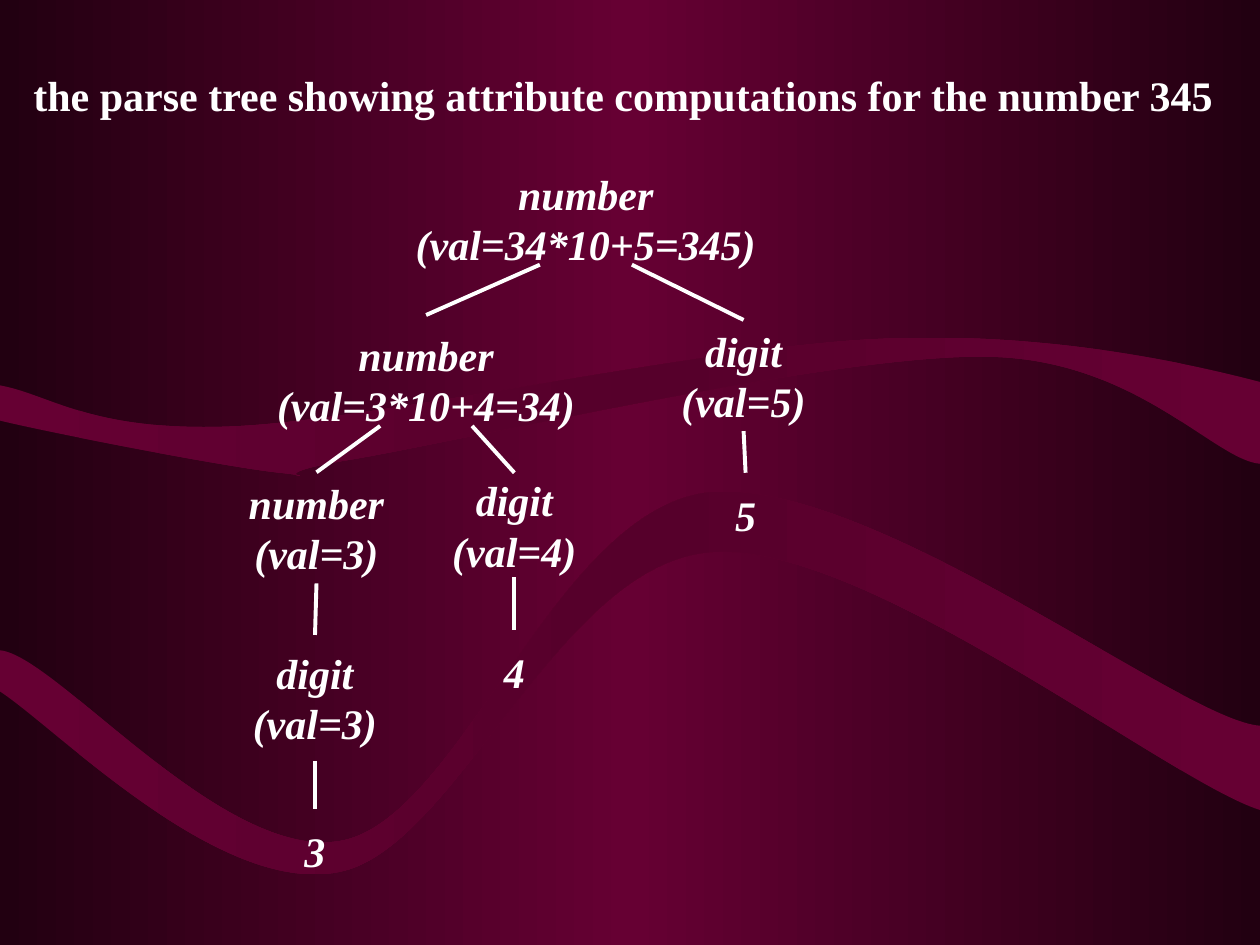
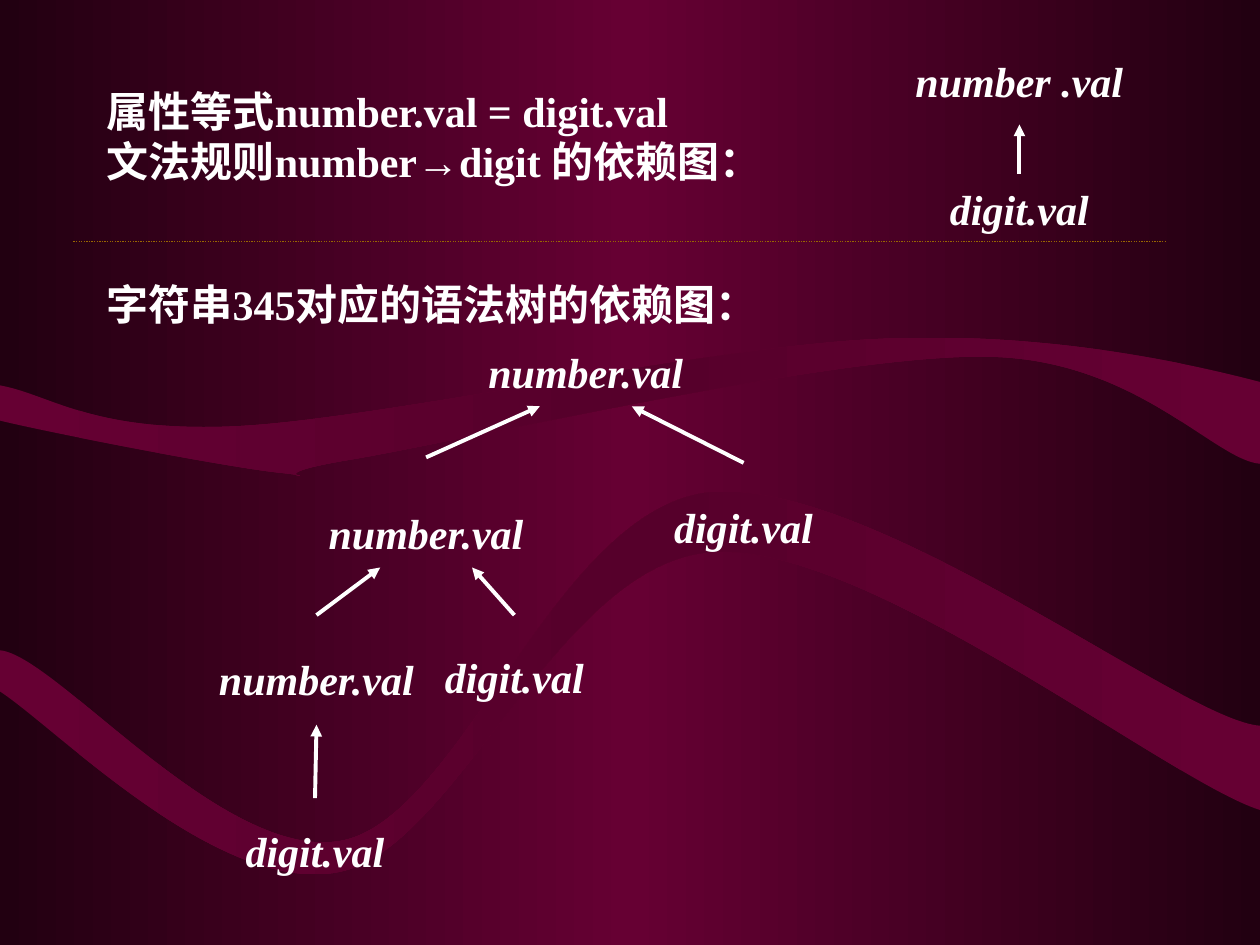
"""Build two slides on attribute computation for the number 345."""
from copy import deepcopy
from math import sqrt

from lxml.etree import SubElement
from pptx import Presentation
from pptx.dml.color import RGBColor
from pptx.enum.dml import MSO_LINE
from pptx.enum.shapes import MSO_CONNECTOR, MSO_SHAPE
from pptx.enum.text import MSO_ANCHOR, MSO_AUTO_SIZE, PP_ALIGN
from pptx.oxml.ns import qn
from pptx.util import Cm, Pt

WHITE, GOLD = "FFFFFF", "996600"
BACKGROUND_STOPS = ("220011", "660033", "220011")
WAVE_STOPS = ("660033", "56002B", "660033")
FONT, ARROW_FONT = "Times New Roman", "Arial"
SIDES = {"left": -1, "below": 0, "right": 1}

WAVES = [
    {"lower": [(0, 8.48), (0.94, 8.71), (4.45, 9.4), (5.64, 9.53),
               (6.83, 9.65), (4.83, 9.63), (7.16, 9.25),
               (9.53, 8.84), (16.76, 7.16), (19.81, 7.19),
               (22.86, 7.19), (24.46, 9.27), (25.4, 9.35)],
     "upper": [(25.4, 7.7), (24.13, 7.37), (21.23, 6.68), (17.81, 6.83),
               (14.38, 6.96), (7.8, 8.43), (4.83, 8.59),
               (1.85, 8.74), (1.02, 7.95), (0, 7.77)]},
    {"lower": [(0, 13.94), (1.14, 14.68), (4.42, 18.06), (6.83, 17.58),
               (9.22, 17.12), (11.25, 11.33), (14.35, 11.13),
               (17.45, 10.9), (23.55, 15.75), (25.4, 16.33)],
     "upper": [(25.4, 14.63), (23.83, 14.53), (17.55, 9.58), (14.27, 9.93),
               (11.2, 10.31), (9.32, 16.41), (6.93, 16.94),
               (4.55, 17.45), (1.14, 13.21), (0, 13.11)]},
]

PARSE_TREE = [
    (["number", "(val=34*10+5=345)"], (11.81, 3.1, 2.62, 2.62), None, None, 0),
    (["number", "(val=3*10+4=34)"], (8.59, 6.35, 2.62, 2.62), 0, "left", 0),
    (["digit", "(val=5)"], (14.99, 6.45, 2.62, 2.24), 0, "right", 0),
    (["number", "(val=3)"], (6.38, 9.52, 2.62, 2.24), 1, "left", 0),
    (["digit", "(val=4)"], (10.37, 9.53, 2.54, 2.11), 1, "right", 0),
    (["5"], (15.03, 9.53, 2.54, 1.7), 2, "below", 0),
    (["digit", "(val=3)"], (6.35, 12.8, 2.54, 2.54), 3, "below", 0),
    (["4"], (10.37, 12.7, 2.54, 1.7), 4, "below", 0),
    (["3"], (6.35, 16.3, 2.54, 1.7), 6, "below", 0),
]
RULE_GRAPH = [
    (["number .val"], (20.55, 0.74, 5.89, 1.77), None, None, 0),
    (["digit.val"], (20.55, 3.5, 5.89, 1.42), 0, "below", 0),
]
STRING_GRAPH = [
    (["number.val"], (11.81, 6.4, 2.62, 2.18), None, None, 0),
    (["number.val"], (8.59, 9.65, 2.62, 2.18), 0, "left", 0.43),
    (["digit.val"], (14.99, 9.69, 2.62, 1.85), 0, "right", 0.36),
    (["number.val"], (6.38, 12.76, 2.62, 1.85), 1, "left", 0.36),
    (["digit.val"], (10.37, 12.76, 2.54, 1.75), 1, "right", 0.36),
    (["digit.val"], (6.35, 16.09, 2.54, 2.11), 3, "below", 0),
]
SLIDES = [
    {"title": ["the parse tree showing attribute computations for the number 345"],
     "title_box": (0.42, 1.27, 24.77, 1.27), "anchor": MSO_ANCHOR.TOP,
     "trees": [PARSE_TREE], "arrows": False},
    {"title": ["属性等式number.val = digit.val",
               ("文法规则number", "→", "digit 的依赖图：")],
     "title_box": (1.9, 1.67, 14.81, 2.13), "anchor": MSO_ANCHOR.MIDDLE,
     "trees": [RULE_GRAPH, STRING_GRAPH], "arrows": True,
     "heading": ["字符串345对应的语法树的依赖图："],
     "heading_box": (1.9, 5.05, 15.04, 2.13),
     "divider": ((1.48, 4.87), (23.5, 4.87))},
]


def color(value):
    """Turn a hex string into a colour."""
    return RGBColor.from_string(value)


def lengths(values):
    """Turn centimetres into lengths."""
    return [Cm(value) for value in values]


def write_text(shape, lines, align=PP_ALIGN.LEFT, anchor=MSO_ANCHOR.MIDDLE,
               italic=False, wrap=True):
    """Write lines, each a string or a tuple of runs, into a shape."""
    frame = shape.text_frame
    frame.word_wrap, frame.auto_size = wrap, MSO_AUTO_SIZE.NONE
    frame.vertical_anchor = anchor
    for index, line in enumerate(lines):
        paragraph = frame.add_paragraph() if index else frame.paragraphs[0]
        paragraph.alignment = align
        for text in (line,) if isinstance(line, str) else line:
            run = paragraph.add_run()
            run.text = text
            run.font.name = ARROW_FONT if text == "→" else FONT
            run.font.size, run.font.bold, run.font.italic = Pt(24), True, italic
            run.font.color.rgb = color(WHITE)


def fill_gradient(fill, element, stops):
    """Give a fill three evenly spaced colours from left to right."""
    fill.gradient()
    fill.gradient_angle = 0
    stop_list = element.xpath(".//a:gsLst")[0]
    stop_list.append(deepcopy(stop_list[0]))
    for index, (stop, value) in enumerate(zip(fill.gradient_stops, stops)):
        stop.position = index / 2
        stop.color.rgb = color(value)


def bend_edges(segments):
    """Join each three straight segments into one cubic curve."""
    for first in range(0, len(segments), 3):
        curve = segments[first].makeelement(qn("a:cubicBezTo"))
        segments[first].addprevious(curve)
        for segment in segments[first:first + 3]:
            curve.append(segment[0])
            segment.getparent().remove(segment)


def add_wave(slide, lower, upper):
    """Draw a band between two curved edges."""
    points = [lengths(point) for point in lower + upper]
    builder = slide.shapes.build_freeform(*points[0])
    builder.add_line_segments(points[1:], close=True)
    wave = builder.convert_to_shape()
    segments = wave.element.xpath(".//a:lnTo")
    bend_edges(segments[:len(lower) - 1])
    bend_edges(segments[len(lower):len(points) - 1])
    wave.shadow.inherit = False
    wave.line.fill.background()
    fill_gradient(wave.fill, wave.element, WAVE_STOPS)
    return wave


def decorate_master(master, slide):
    """Put the background and the waves on the master."""
    background = master.background.fill
    fill_gradient(background, master.element.xpath("./p:cSld/p:bg")[0], BACKGROUND_STOPS)
    for index, edges in enumerate(WAVES):
        wave = add_wave(slide, **edges)
        wave.element.xpath("./p:nvSpPr/p:cNvPr")[0].set("id", str(101 + index))
        master.shapes.element.insert(2 + index, wave.element)


def add_line(slide, start, end, line_color=WHITE, width=2.25, dash=None, arrow=False):
    """Draw a straight line, with an arrowhead at its start if asked."""
    connector = slide.shapes.add_connector(
        MSO_CONNECTOR.STRAIGHT, *lengths((*start, *end)))
    connector.line.color.rgb = color(line_color)
    connector.line.width = Pt(width)
    if dash:
        connector.line.dash_style = dash
    properties = connector.element.spPr
    if arrow:
        SubElement(properties.find(qn("a:ln")), qn("a:headEnd"), type="triangle")
    SubElement(properties, qn("a:effectLst"))


def edge_start(box, side, lift):
    """Return the point on the rim of a parent oval where an edge leaves."""
    centre, top, width, height = box
    if side == "below":
        return centre, top + height
    reach = sqrt(0.5) / 2
    dip = 0.07 if lift else 0
    return centre + SIDES[side] * width * reach, top + height * (0.5 + reach) - dip


def add_tree(slide, nodes, arrow):
    """Draw the ovals of a tree and the edges between them."""
    for lines, box, parent, side, lift in nodes:
        centre, top, width, height = box
        oval = slide.shapes.add_shape(
            MSO_SHAPE.OVAL, *lengths((centre - width / 2, top, width, height)))
        oval.shadow.inherit = False
        oval.fill.background()
        oval.line.fill.background()
        write_text(oval, lines, align=PP_ALIGN.CENTER, italic=True, wrap=False)
        if parent is not None:
            add_line(slide, edge_start(nodes[parent][1], side, lift),
                     (centre, top - lift), arrow=arrow)


def build_slide(slide, content):
    """Fill one slide with its title, trees and divider."""
    title = slide.shapes.title
    title.left, title.top, title.width, title.height = lengths(content["title_box"])
    write_text(title, content["title"], anchor=content["anchor"])
    if "heading" in content:
        heading = slide.shapes.add_textbox(*lengths(content["heading_box"]))
        write_text(heading, content["heading"])
    for nodes in content["trees"]:
        add_tree(slide, nodes, content["arrows"])
    if "divider" in content:
        add_line(slide, *content["divider"], line_color=GOLD, width=0.75,
                 dash=MSO_LINE.ROUND_DOT)


def main():
    """Build and save the presentation."""
    presentation = Presentation()
    presentation.slide_width, presentation.slide_height = Cm(25.4), Cm(19.05)
    layout = presentation.slide_layouts.get_by_name("Title Only")
    for index, content in enumerate(SLIDES):
        slide = presentation.slides.add_slide(layout)
        if index == 0:
            decorate_master(presentation.slide_master, slide)
        build_slide(slide, content)
    presentation.save("out.pptx")


if __name__ == "__main__":
    main()
